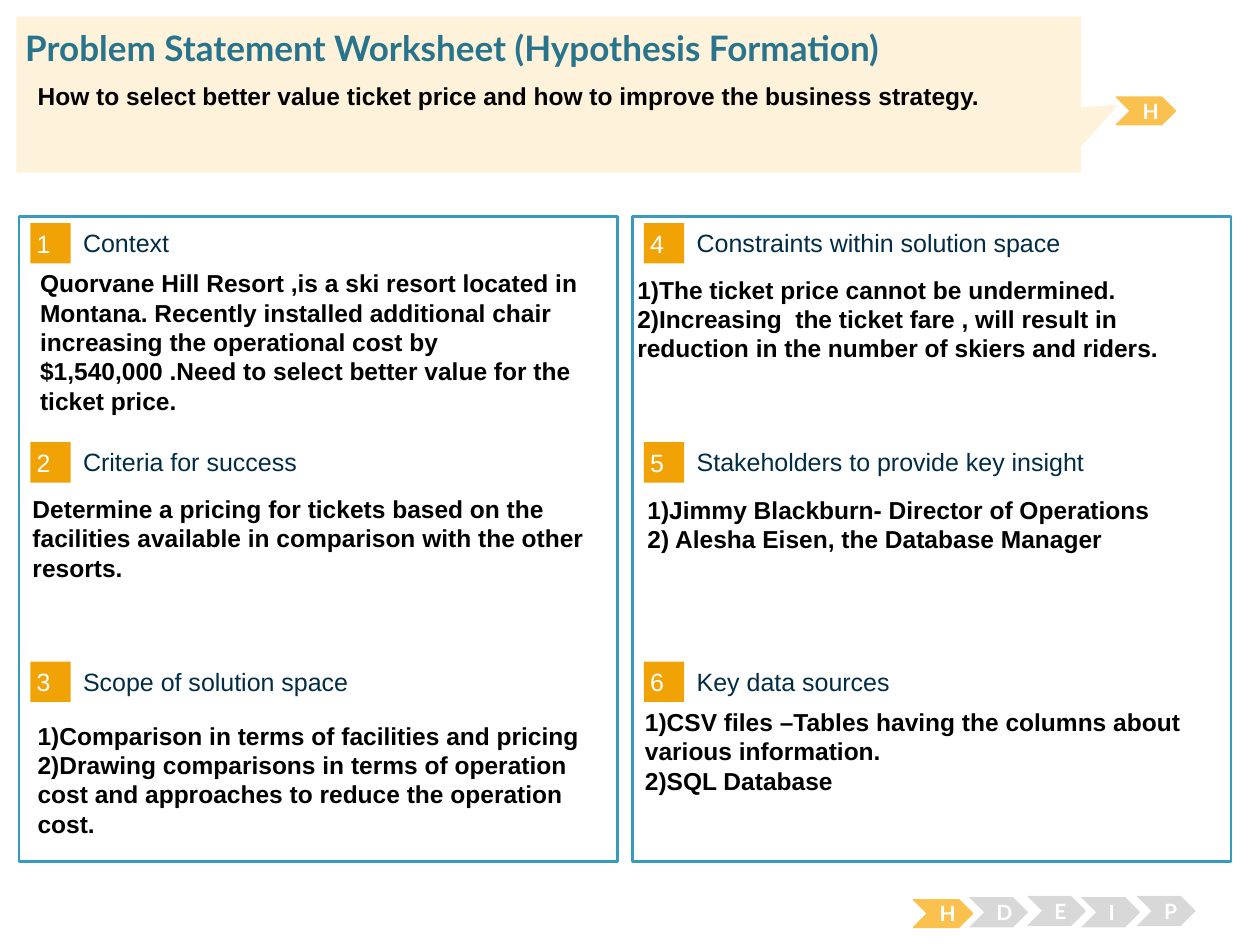
from pptx import Presentation
from pptx.dml.color import RGBColor
from pptx.enum.shapes import MSO_SHAPE
from pptx.enum.text import MSO_ANCHOR, MSO_AUTO_SIZE, PP_ALIGN
from pptx.util import Inches, Pt

RECT, CHEVRON, CALLOUT = MSO_SHAPE.RECTANGLE, MSO_SHAPE.CHEVRON, MSO_SHAPE.RECTANGULAR_CALLOUT
TOP, MIDDLE = MSO_ANCHOR.TOP, MSO_ANCHOR.MIDDLE
LEFT, CENTER = PP_ALIGN.LEFT, PP_ALIGN.CENTER

TITLE = "Problem Statement Worksheet (Hypothesis Formation)"
QUESTION = "How to select better value ticket price and how to improve the business strategy."
SECTIONS = [
    ("Context", (0.22, 2.08, 4.73, 1.36), [
        "Quorvane Hill Resort ,is a ski resort located in Montana. Recently installed "
        "additional chair increasing the operational cost by $1,540,000 .Need to select "
        "better value for the ticket price."]),
    ("Criteria for success", (0.16, 3.87, 4.73, 1.03), [
        "Determine a pricing for tickets based on the facilities available in comparison "
        "with the other resorts."]),
    ("Scope of solution space", (0.2, 5.67, 4.73, 0.82), [
        "1)Comparison in terms of facilities and pricing",
        "2)Drawing comparisons in terms of operation cost and approaches to reduce the "
        "operation cost."]),
    ("Constraints within solution space", (4.96, 2.13, 4.73, 1.18), [
        "1)The ticket price cannot be undermined.",
        "2)Increasing  the ticket fare , will result in reduction in the number of skiers "
        "and riders."]),
    ("Stakeholders to provide key insight", (5.04, 3.88, 4.73, 1.18), [
        "1)Jimmy Blackburn- Director of Operations",
        "2) Alesha Eisen, the Database Manager"]),
    ("Key data sources", (5.02, 5.56, 4.73, 1.18), [
        "1)CSV files –Tables having the columns about various information.",
        "2)SQL Database"]),
]
STAGES = [
    ("H", 7.25, 7.14, True), ("D", 7.69, 7.12, False), ("E", 8.15, 7.11, False),
    ("I", 8.58, 7.12, False), ("P", 9.02, 7.11, False), ("H", 8.86, 0.77, True),
]
PANEL_LEFTS = (0.15, 5.02)
PANEL_TOP, PANEL_W, PANEL_H = 1.72, 4.75, 5.12
ROWS, ROW_TOP, ROW_PITCH = 3, 1.77, 1.74
BADGE = 0.32
WIDE_INSETS = (0.1, 0.05)


def color(value):
    return RGBColor.from_string(value)


def write(box, lines, size, font, ink, bold=False, align=LEFT, anchor=TOP, insets=(0, 0)):
    frame = box.text_frame
    frame.word_wrap = True
    frame.auto_size = MSO_AUTO_SIZE.NONE
    frame.vertical_anchor = anchor
    frame.margin_left = frame.margin_right = Inches(insets[0])
    frame.margin_top = frame.margin_bottom = Inches(insets[1])
    frame.text = "\n".join(lines)
    for paragraph in frame.paragraphs:
        paragraph.alignment = align
        paragraph.font.size = Pt(size)
        paragraph.font.name = font
        paragraph.font.bold = bold
        paragraph.font.color.rgb = color(ink)


def add_block(kind, place, fill, line=None, width=0.75):
    block = slide.shapes.add_shape(kind, *map(Inches, place))
    block.shadow.inherit = False
    block.fill.solid()
    block.fill.fore_color.rgb = color(fill)
    if line:
        block.line.color.rgb = color(line)
        block.line.width = Pt(width)
    else:
        block.line.fill.background()
    return block


def add_words(place, lines, *style, **options):
    write(slide.shapes.add_textbox(*map(Inches, place)), lines, *style, **options)


deck = Presentation()
deck.slide_width, deck.slide_height = Inches(10), Inches(7.5)
slide = deck.slides.add_slide(deck.slide_layouts[5])

for left in PANEL_LEFTS:
    add_block(RECT, (left, PANEL_TOP, PANEL_W, PANEL_H), "FFFFFF", "379BBD", 1.5)

for index, (heading, body_place, body) in enumerate(SECTIONS):
    column, row = divmod(index, ROWS)
    left = PANEL_LEFTS[column] + 0.09
    top = ROW_TOP + row * ROW_PITCH
    badge = add_block(RECT, (left, top, BADGE, BADGE), "F1A205")
    write(badge, [str(index + 1)], 14.3, "Arial", "FFFFFF", anchor=MIDDLE, insets=(0.05, 0.05))
    add_words((left + 0.42, top + 0.03, 3.93, 0.25), [heading], 14.3, "Arial", "002C46",
              anchor=MIDDLE)
    add_words(body_place, body, 14, "Arial", "000000", bold=True, insets=WIDE_INSETS)

for letter, left, top, active in STAGES:
    if active:
        stage = add_block(CHEVRON, (left, top, 0.47, 0.22), "FBC14E", "FBC14E")
    else:
        stage = add_block(CHEVRON, (left, top, 0.47, 0.24), "D8D8D8")
    write(stage, [letter], 12, "Lato", "FFFFFF", bold=True, align=CENTER, anchor=MIDDLE,
          insets=WIDE_INSETS)

callout = add_block(CALLOUT, (0.13, 0.13, 8.45, 1.24), "FEF2DA")
callout.adjustments[0], callout.adjustments[1] = 0.535, 0.066

title = slide.shapes.title
title.left, title.top, title.width, title.height = map(Inches, (0.2, 0.21, 9.62, 0.34))
write(title, [TITLE], 20, "Lato", "29748D", bold=True, anchor=MIDDLE)
callout._element.addnext(title._element)

add_words((0.2, 0.59, 9.39, 0.54), [QUESTION], 14, "Arial", "000000", bold=True,
          insets=WIDE_INSETS)

deck.save("out.pptx")
